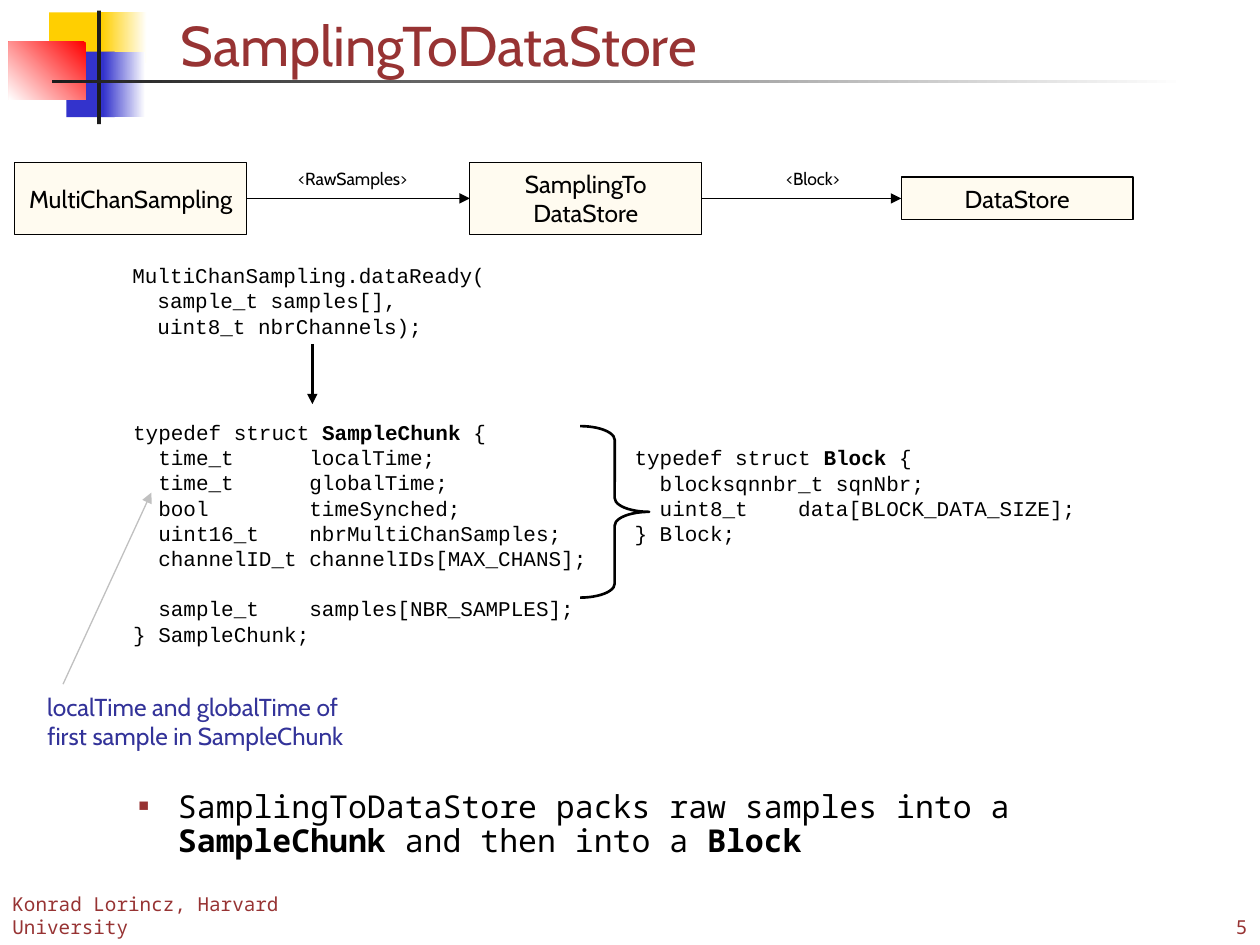
from pptx import Presentation
from pptx.dml.color import RGBColor
from pptx.enum.shapes import MSO_CONNECTOR, MSO_SHAPE
from pptx.enum.text import MSO_ANCHOR as Anchor, MSO_AUTO_SIZE, PP_ALIGN as Align
from pptx.oxml.ns import qn
from pptx.util import Pt
from lxml.etree import SubElement

COLORS = {
    "black": "000000", "white": "FFFFFF", "ink": "1C1C1C", "maroon": "973333",
    "yellow": "FFCF01", "blue": "3333CC", "red": "FF0000",
    "cream": "FFFBF0", "navy": "333399", "silver": "C0C0C0",
}
SANS, CODE, MONO = "Cabin", "Courier New", "Noto Sans Mono"
FLOW_Y = 113.4
BOX_WIDTH = 132.5


def rgb(name):
    return RGBColor.from_string(COLORS[name])


class SlideBuilder:
    def __init__(self, slide):
        self.slide = slide
        self.shapes = slide.shapes

    def set_text(self, shape, text, size, font=SANS, color="black",
                 align=Align.LEFT, anchor=Anchor.MIDDLE, wrap=True, spacing=None):
        """Fill a shape with a list of paragraphs; ** toggles bold, a newline breaks the line."""
        frame = shape.text_frame
        frame.auto_size = MSO_AUTO_SIZE.NONE
        frame.word_wrap = wrap
        frame.vertical_anchor = anchor
        for index, content in enumerate(text):
            paragraph = frame.add_paragraph() if index else frame.paragraphs[0]
            paragraph.alignment = align
            paragraph.line_spacing = spacing
            paragraph.font.size = Pt(size)
            paragraph.font.name = font
            paragraph.font.color.rgb = rgb(color)
            for part_index, part in enumerate(content.split("**")):
                for line_index, line in enumerate(part.split("\n")):
                    if line_index:
                        paragraph.add_line_break()
                    if line:
                        run = paragraph.add_run()
                        run.text = line
                        if part_index % 2:
                            run.font.bold = True
        return frame

    def rectangle(self, bounds, color, fade_from=None, angle=180):
        """Add a borderless rectangle, plain or fading between two colours."""
        shape = self.shapes.add_shape(MSO_SHAPE.RECTANGLE, *map(Pt, bounds))
        shape.shadow.inherit = False
        shape.line.fill.background()
        if fade_from:
            shape.fill.gradient()
            shape.fill.gradient_angle = angle
            for stop, name, position in zip(shape.fill.gradient_stops,
                                            (fade_from, color), (0, 1)):
                stop.color.rgb = rgb(name)
                stop.position = position
        else:
            shape.fill.solid()
            shape.fill.fore_color.rgb = rgb(color)
        return shape

    def flow_box(self, left, height, text):
        bounds = (left, FLOW_Y - height / 2, BOX_WIDTH, height)
        shape = self.rectangle(bounds, "cream")
        shape.line.color.rgb = rgb("black")
        shape.line.width = Pt(0.75)
        self.set_text(shape, [text], 14, align=Align.CENTER)

    def text(self, bounds, text, size, **style):
        return self.set_text(self.shapes.add_textbox(*map(Pt, bounds)), text, size, **style)

    def code(self, bounds, lines):
        return self.text(bounds, lines, 12, font=CODE, spacing=Pt(14.4))

    def arrow(self, start, end, color="black", width=0.75):
        connector = self.shapes.add_connector(
            MSO_CONNECTOR.STRAIGHT, *map(Pt, (*start, *end)))
        connector.line.color.rgb = rgb(color)
        connector.line.width = Pt(width)
        SubElement(connector.line._get_or_add_ln(), qn("a:tailEnd"), type="triangle")
        SubElement(connector._element.spPr, qn("a:effectLst"))

    def brace(self, bounds):
        shape = self.shapes.add_shape(MSO_SHAPE.RIGHT_BRACE, *map(Pt, bounds))
        shape.adjustments[0] = 0.2
        shape.shadow.inherit = False
        shape.fill.background()
        shape.line.color.rgb = rgb("black")
        shape.line.width = Pt(1.5)

    def placeholder(self, index, bounds, text, size, **style):
        """Place a template placeholder in front of what is already drawn."""
        shape = self.slide.placeholders[index]
        shape.left, shape.top, shape.width, shape.height = map(Pt, bounds)
        self.shapes._spTree.append(shape._element)
        return self.set_text(shape, text, size, **style)

    def bullet(self, paragraph, color):
        paragraph.space_before = Pt(4.5)
        properties = paragraph._p.get_or_add_pPr()
        properties.set("marL", str(Pt(58.5)))
        properties.set("indent", str(Pt(-22.5)))
        marks = [SubElement(properties, qn("a:buClr")),
                 SubElement(properties, qn("a:buSzPct"), val="55000"),
                 SubElement(properties, qn("a:buFont"), typeface=MONO),
                 SubElement(properties, qn("a:buChar"), char="■")]
        SubElement(marks[0], qn("a:srgbClr"), val=COLORS[color])
        font_defaults = properties.find(qn("a:defRPr"))
        for mark in marks:
            font_defaults.addprevious(mark)


def main():
    presentation = Presentation()
    presentation.slide_width, presentation.slide_height = Pt(720), Pt(540)
    builder = SlideBuilder(presentation.slides.add_slide(presentation.slide_layouts[1]))

    # Corner ornament and title rule
    builder.rectangle((28, 7, 35, 27), "yellow")
    builder.rectangle((58, 7, 26, 29), "yellow", "white")
    builder.rectangle((38, 29.5, 27.5, 37.5), "blue")
    builder.rectangle((59, 29.5, 24, 37.5), "blue", "white")
    builder.rectangle((5, 24, 44, 33), "white", "red", angle=225)
    builder.rectangle((55.5, 6, 2.2, 65), "ink")
    builder.rectangle((30, 45.5, 648, 2.2), "ink", "white")

    builder.placeholder(0, (96, 0, 608, 48), ["SamplingToDataStore"], 32,
                        color="maroon", anchor=Anchor.BOTTOM)
    body = builder.placeholder(
        1, (36, 448.5, 669, 55.5),
        ["SamplingToDataStore packs raw samples into a \n"
         "**SampleChunk** and then into a **Block**"],
        18, font=MONO, anchor=Anchor.TOP, spacing=0.9)
    builder.bullet(body.paragraphs[0], "maroon")

    # Data flow
    flow = [(8.5, 41, "MultiChanSampling"), (268.5, 41, "SamplingTo\nDataStore"),
            (515, 24.5, "DataStore")]
    for box in flow:
        builder.flow_box(*box)
    for source, target in zip(flow, flow[1:]):
        builder.arrow((source[0] + BOX_WIDTH, FLOW_Y), (target[0], FLOW_Y))
    for left, width, label in [(159, 85, "<RawSamples>"), (439, 51, "<Block>")]:
        builder.text((left, 92.5, width, 19), [label], 10,
                     align=Align.CENTER, wrap=False)

    # Code
    builder.code((355.5, 250.5, 281, 65), [
        "typedef struct **Block** {",
        "  blocksqnnbr_t sqnNbr;",
        "  uint8_t    data[BLOCK_DATA_SIZE];",
        "} Block;"])
    chunk = builder.code((69, 236, 276.5, 137), [
        "typedef struct **SampleChunk** {",
        "  time_t      localTime;",
        "  time_t      globalTime;",
        "  bool        timeSynched;",
        "  uint16_t    nbrMultiChanSamples;",
        "  channelID_t channelIDs[MAX_CHANS];",
        "  sample_t    samples[NBR_SAMPLES];",
        "} SampleChunk;"])
    chunk.paragraphs[5].space_after = Pt(14.4)
    builder.code((68.5, 146.5, 244, 50.5), [
        "MultiChanSampling.dataReady(",
        "  sample_t samples[],",
        "  uint8_t nbrChannels);"])
    builder.brace((331.5, 243.5, 39.5, 98))

    # Note and pointers
    builder.text((11, 374.5, 201.5, 75),
                 ["localTime and globalTime of \nfirst sample in SampleChunk"], 14,
                 color="navy", align=Align.CENTER)
    builder.arrow((36, 391), (86.5, 281.5), "silver")
    builder.arrow((159, 184.5), (159, 184.5))
    builder.arrow((178.5, 196.5), (178.5, 231), width=1.5)

    # Footer
    footer = dict(font=MONO, color="maroon", anchor=Anchor.BOTTOM)
    builder.text((0, 504, 228, 36), ["Konrad Lorincz, Harvard University"], 11, **footer)
    builder.text((570, 504, 150, 36), ["5"], 11, align=Align.RIGHT, **footer)

    presentation.save("out.pptx")


if __name__ == "__main__":
    main()
